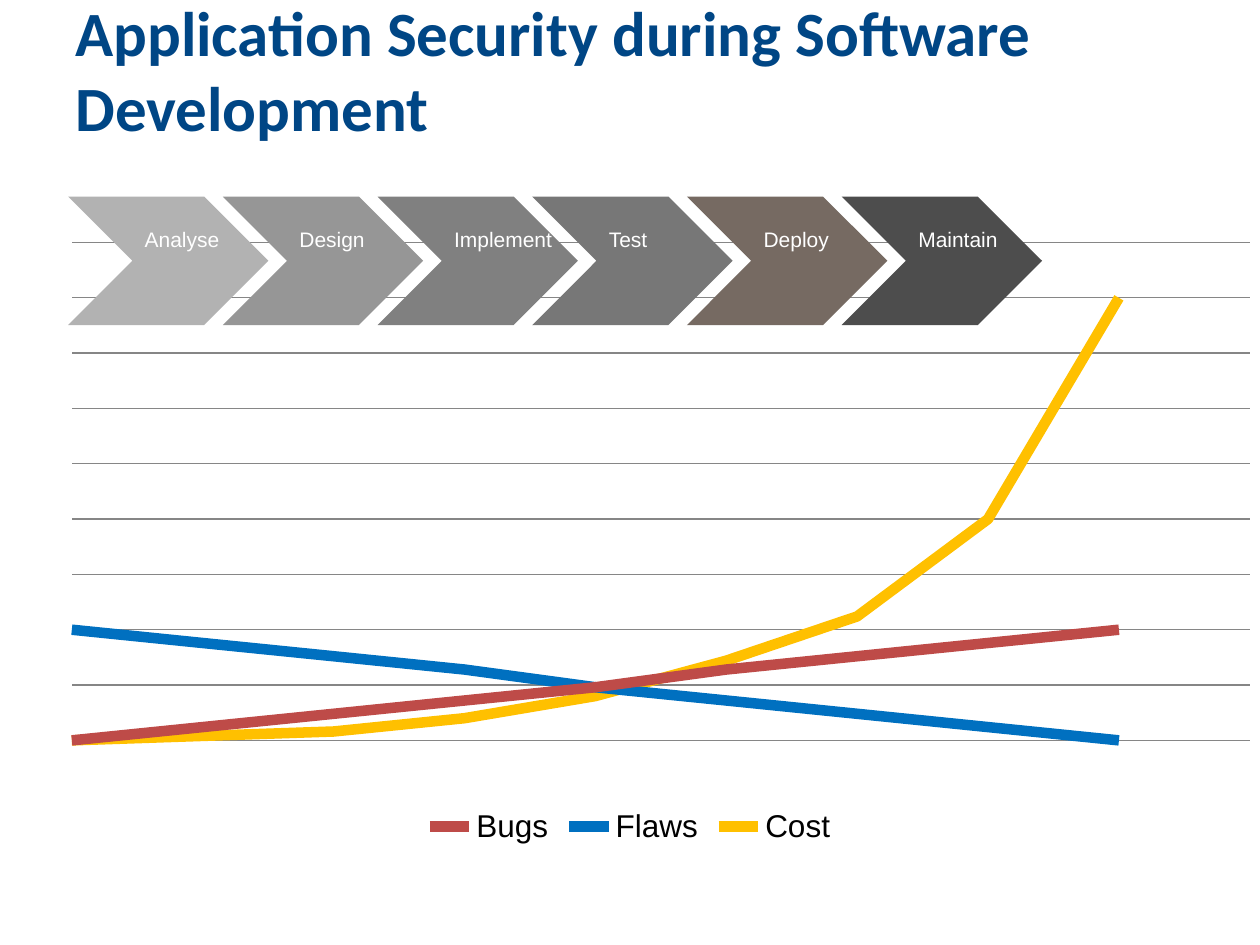
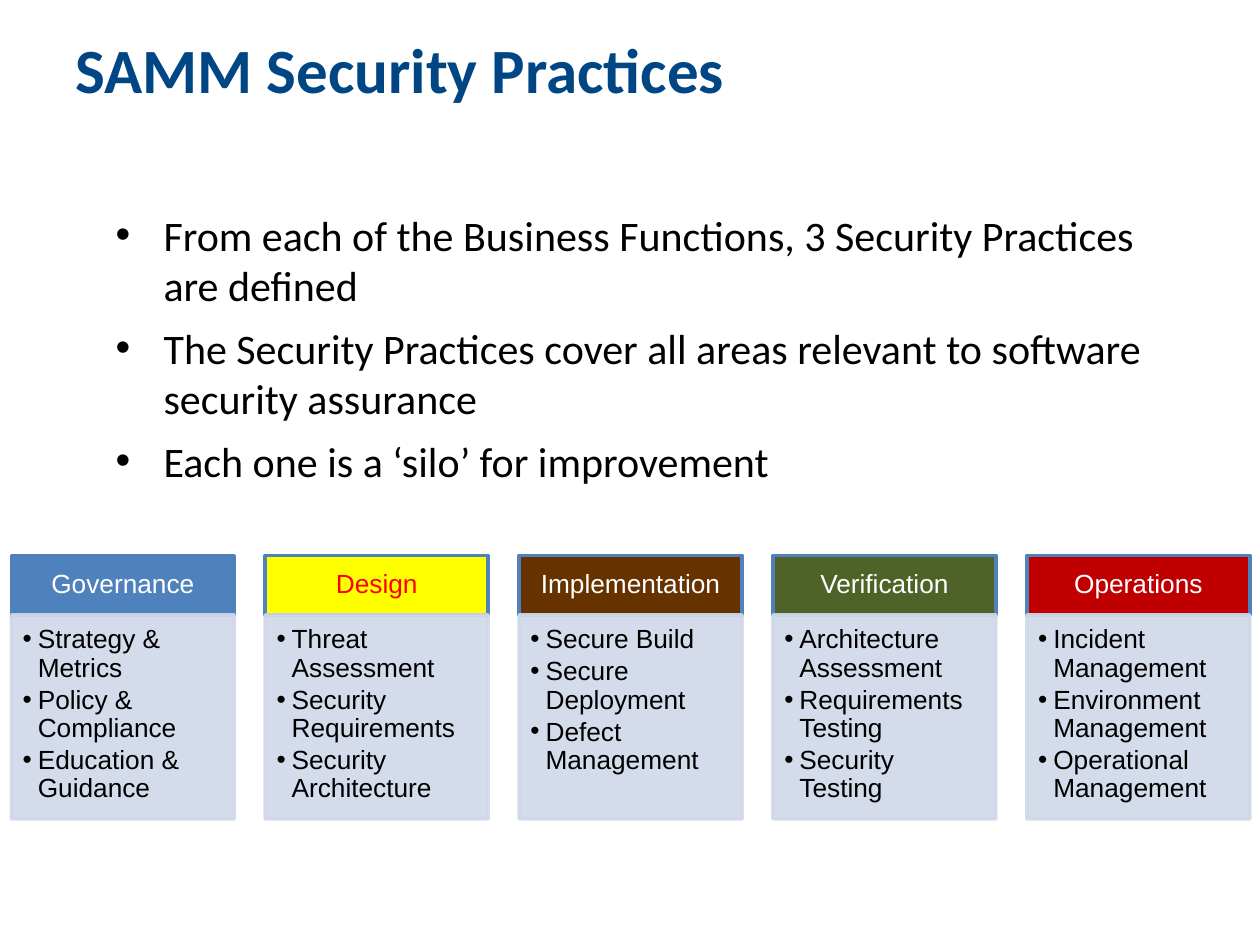
from lxml import etree
from pptx import Presentation
from pptx.chart.data import XyChartData
from pptx.dml.color import RGBColor
from pptx.enum.chart import XL_CHART_TYPE, XL_LEGEND_POSITION
from pptx.enum.shapes import MSO_SHAPE
from pptx.enum.text import MSO_ANCHOR, PP_ALIGN
from pptx.oxml import parse_xml
from pptx.oxml.ns import nsdecls, qn
from pptx.util import Inches, Pt

CHEVRON, RECT = MSO_SHAPE.CHEVRON, MSO_SHAPE.RECTANGLE
TOP, MIDDLE = MSO_ANCHOR.TOP, MSO_ANCHOR.MIDDLE
LEFT, CENTER = PP_ALIGN.LEFT, PP_ALIGN.CENTER
SMOOTH = XL_CHART_TYPE.XY_SCATTER_SMOOTH_NO_MARKERS
BOTTOM = XL_LEGEND_POSITION.BOTTOM

NAVY, BLACK, WHITE = "004685", "000000", "FFFFFF"
BLUE, PALE = "4F81BD", "D0D8E8"


def rgb(value):
    return RGBColor.from_string(value)


def add_text(sp, text, size=15, color=BLACK, font="Arial", bold=False, align=LEFT,
             anchor=TOP, margins=(0.1, 0.1, 0.1, 0.1), wrap=True, indent=None,
             before=0, after=0, spacing=1.0):
    tf = sp.text_frame
    tf.word_wrap = wrap
    tf.vertical_anchor = anchor
    tf.margin_left, tf.margin_top, tf.margin_right, tf.margin_bottom = map(Inches, margins)
    for i, line in enumerate(text.split("\n")):
        p = tf.paragraphs[0] if i == 0 else tf.add_paragraph()
        if indent:
            pPr = p._p.get_or_add_pPr()
            pPr.set("marL", str(Inches(indent[0])))
            pPr.set("indent", str(Inches(indent[1])))
            etree.SubElement(pPr, qn("a:buFont")).set("typeface", "Arial")
            etree.SubElement(pPr, qn("a:buChar")).set("char", "•")
        p.alignment = align
        p.line_spacing = spacing
        p.space_before = Pt(before if i else 0)
        p.space_after = Pt(after)
        r = p.add_run()
        r.text = line
        r.font.name = font
        r.font.size = Pt(size)
        r.font.bold = bold
        r.font.color.rgb = rgb(color)


prs = Presentation()
prs.slide_width, prs.slide_height = Inches(10), Inches(7.5)
slides = []
for title in ("Application Security during Software Development", "SAMM Security Practices"):
    s = prs.slides.add_slide(prs.slide_layouts[6])
    sp = s.shapes.add_textbox(Inches(0.5), Inches(0.3), Inches(9), Inches(0.49))
    add_text(sp, title, size=36, color=NAVY, font="Calibri", bold=True, anchor=MIDDLE)
    slides.append(s)
lifecycle, practices = slides

curves = [
    ("Bugs", "BE4B48", [0, 3, 6, 9, 12, 16, 19, 22, 25]),
    ("Flaws", "0070C0", [25, 22, 19, 16, 12, 9, 6, 3, 0]),
    ("Cost", "FFC000", [0, 1, 2, 5, 10, 18, 28, 50, 100]),
]
data = XyChartData()
for name, color, values in curves:
    series = data.add_series(name)
    for i, value in enumerate(values):
        series.add_data_point(i / 2, value)
chart = lifecycle.shapes.add_chart(
    SMOOTH, Inches(0), Inches(1.92), Inches(10), Inches(4.83), data).chart
chart.has_title = False
chart.font.name = "Arial"
chart.font.size = Pt(18)
chart.font.color.rgb = rgb(BLACK)
chart.has_legend = True
chart.legend.position = BOTTOM
chart.legend.include_in_layout = False
for axis, top, unit in ((chart.category_axis, 4.5, 0.5), (chart.value_axis, 112.5, 12.5)):
    axis.visible = False
    axis.minimum_scale, axis.maximum_scale, axis.major_unit = 0, top, unit
chart.category_axis.has_major_gridlines = False
grid = chart.value_axis.major_gridlines.format.line
grid.color.rgb = rgb("868686")
grid.width = Pt(0.75)
for series, (name, color, values) in zip(chart.plots[0].series, curves):
    series.smooth = True
    series.format.line.color.rgb = rgb(color)
    series.format.line.width = Pt(6)

plot_area = chart._chartSpace.chart.plotArea
for old in plot_area.findall(qn("c:layout")):
    plot_area.remove(old)
plot_area.insert(0, parse_xml(
    f'<c:layout {nsdecls("c")}><c:manualLayout><c:layoutTarget val="inner"/>'
    '<c:xMode val="edge"/><c:yMode val="edge"/><c:x val="0.057"/><c:y val="0"/>'
    '<c:w val="0.935"/><c:h val="0.819"/></c:manualLayout></c:layout>'))

phases = [("Analyse", "B2B2B2"), ("Design", "969696"), ("Implement", "808080"),
          ("Test", "777777"), ("Deploy", "766A62"), ("Maintain", "4D4D4D")]
step = (6.68 - 0.54) / (len(phases) - 1)
for i, (name, color) in enumerate(phases):
    sp = lifecycle.shapes.add_shape(
        CHEVRON, Inches(0.54 + i * step), Inches(1.56), Inches(1.59), Inches(1.02))
    sp.shadow.inherit = False
    sp.fill.solid()
    sp.fill.fore_color.rgb = rgb(color)
    sp.line.fill.background()
    add_text(sp, name, size=12, color=WHITE, wrap=False, margins=(0.1, 0.24, 0.1, 0.05))

sp = practices.shapes.add_textbox(Inches(0.5), Inches(1.56), Inches(9), Inches(2.6))
add_text(sp, "From each of the Business Functions, 3 Security Practices are defined\n"
         "The Security Practices cover all areas relevant to software security assurance\n"
         "Each one is a ‘silo’ for improvement",
         size=24, font="Calibri", indent=(0.7, -0.38), before=7)

functions = [
    ("Governance", BLUE, WHITE,
     "Strategy & Metrics\nPolicy & Compliance\nEducation & Guidance"),
    ("Design", "FFFF00", "FF0000",
     "Threat Assessment\nSecurity Requirements\nSecurity Architecture"),
    ("Implementation", "663300", WHITE,
     "Secure Build\nSecure Deployment\nDefect Management"),
    ("Verification", "4F6228", WHITE,
     "Architecture Assessment\nRequirements Testing\nSecurity Testing"),
    ("Operations", "C00000", WHITE,
     "Incident Management\nEnvironment Management\nOperational Management"),
]
step = (8.15 - 0.09) / (len(functions) - 1)
for i, (name, fill, color, items) in enumerate(functions):
    x = Inches(0.09 + i * step)
    head = practices.shapes.add_shape(RECT, x, Inches(4.41), Inches(1.77), Inches(0.47))
    body = practices.shapes.add_shape(RECT, x, Inches(4.88), Inches(1.77), Inches(1.62))
    for sp, back, edge in ((head, fill, BLUE), (body, PALE, PALE)):
        sp.shadow.inherit = False
        sp.fill.solid()
        sp.fill.fore_color.rgb = rgb(back)
        sp.line.color.rgb = rgb(edge)
        sp.line.width = Pt(2)
    for clr in body._element.spPr.iter(qn("a:srgbClr")):
        etree.SubElement(clr, qn("a:alpha")).set("val", "90000")
    add_text(head, name, color=color, align=CENTER, anchor=MIDDLE, spacing=0.9,
             margins=(0.12, 0.07, 0.12, 0.07))
    add_text(body, items, indent=(0.12, -0.12), spacing=0.9, after=2,
             margins=(0.09, 0.09, 0.12, 0.13))

prs.save("out.pptx")
